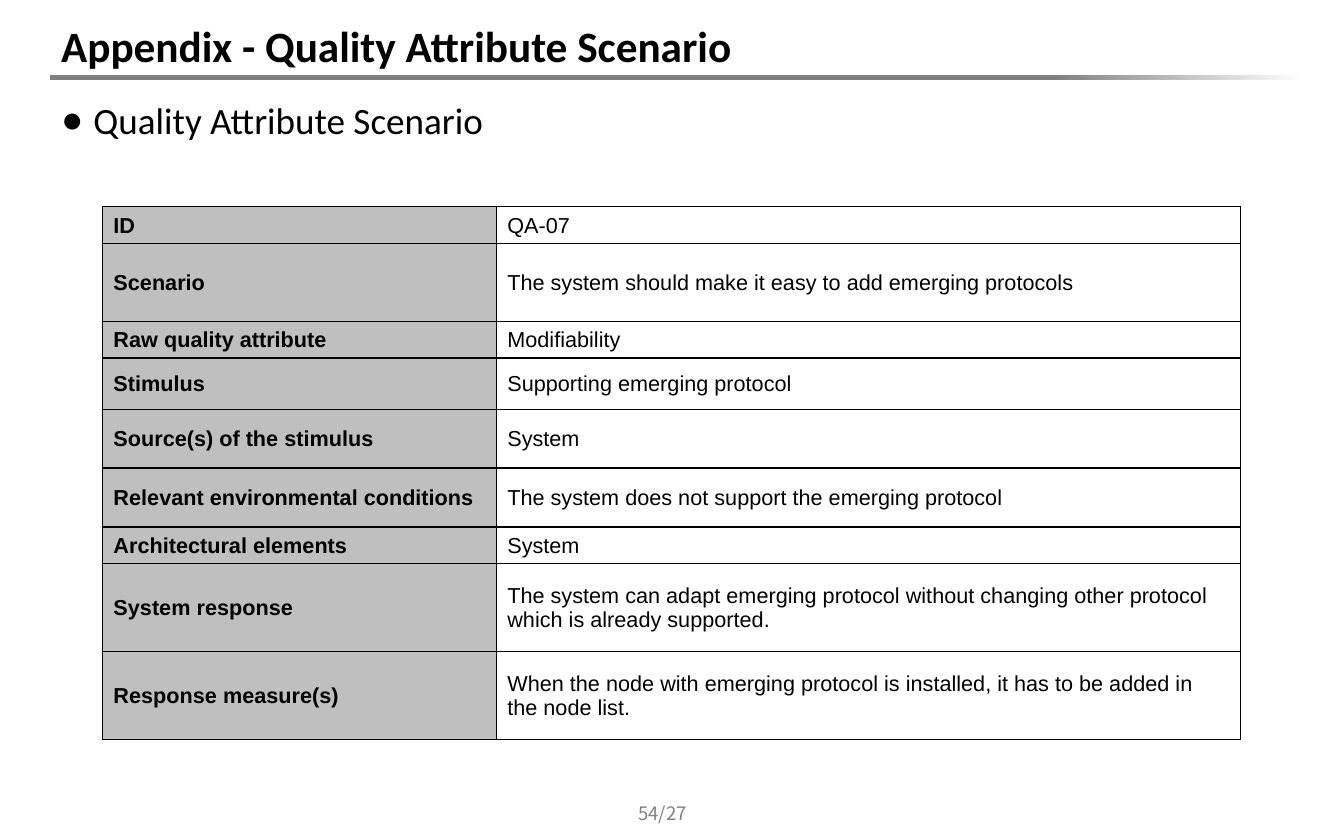
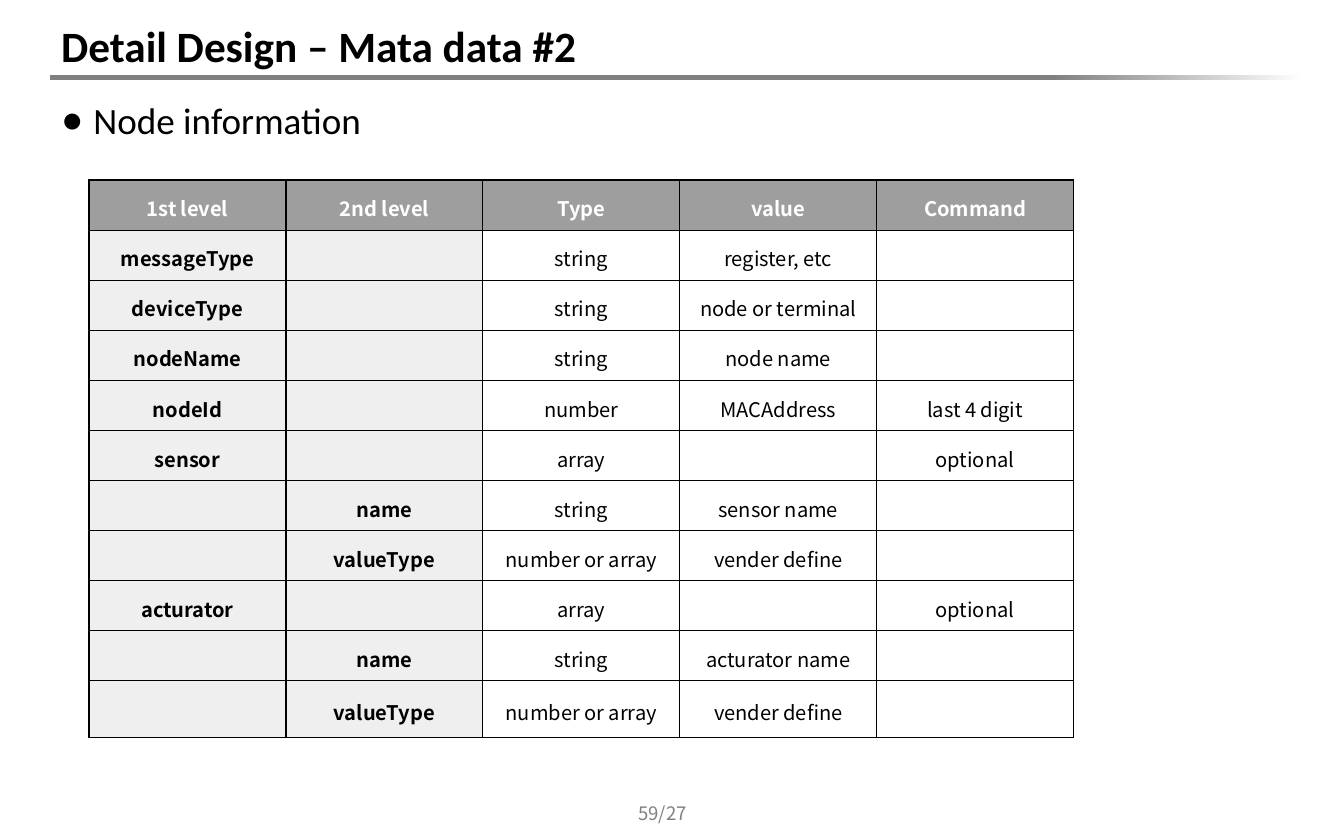
from copy import deepcopy

from lxml.etree import SubElement
from pptx import Presentation
from pptx.dml.color import RGBColor
from pptx.enum.shapes import MSO_SHAPE
from pptx.enum.text import MSO_ANCHOR, MSO_AUTO_SIZE, PP_ALIGN
from pptx.oxml import parse_xml
from pptx.oxml.ns import nsdecls, qn
from pptx.util import Inches, Pt

BLACK = RGBColor(0x00, 0x00, 0x00)
WHITE = RGBColor(0xFF, 0xFF, 0xFF)
GRAY = RGBColor(0x80, 0x80, 0x80)
LABEL_GRAY = RGBColor(0xBF, 0xBF, 0xBF)
HEADER_GRAY = RGBColor(0x9E, 0x9E, 0x9E)
LEVEL_GRAY = RGBColor(0xEF, 0xEF, 0xEF)

HEADING_FONT = "Calibri"
TABLE_FONT = "Arial"
KOREAN_FONT = "Noto Sans CJK KR"

TITLE_BOX = (0.45, 0.14, 11.26, 0.54)
BODY_BOX = (0.45, 0.83, 11.26, 6.32)
PAGE_BOX = (5.41, 7.19, 1.09, 0.24)
BAND_BOX = (0.45, 0.12, 11.34, 0.55)
RULE_BOX = (0.45, 0.67, 11.26, 0.05)

SCENARIO_ROWS = [
    ("ID", "QA-07", 0.33),
    ("Scenario", "The system should make it easy to add emerging protocols", 0.7),
    ("Raw quality attribute", "Modifiability", 0.33),
    ("Stimulus", "Supporting emerging protocol", 0.46),
    ("Source(s) of the stimulus", "System", 0.53),
    ("Relevant environmental conditions",
     "The system does not support the emerging protocol", 0.53),
    ("Architectural elements", "System", 0.33),
    ("System response",
     "The system can adapt emerging protocol without changing other protocol "
     "which is already supported.", 0.79),
    ("Response measure(s)",
     "When the node with emerging protocol is installed, it has to be added "
     "in the node list.", 0.79),
]

NODE_ROWS = [
    ("1st level", "2nd level", "Type", "value", "Command"),
    ("messageType", "", "string", "register, etc", ""),
    ("deviceType", "", "string", "node or terminal", ""),
    ("nodeName", "", "string", "node name", ""),
    ("nodeId", "", "number", "MACAddress", "last 4 digit"),
    ("sensor", "", "array", "", "optional"),
    ("", "name", "string", "sensor name", ""),
    ("", "valueType", "number or array", "vender define", ""),
    ("acturator", "", "array", "", "optional"),
    ("", "name", "string", "acturator name", ""),
    ("", "valueType", "number or array", "vender define", ""),
]


def place(shape, box):
    shape.left, shape.top, shape.width, shape.height = map(Inches, box)


def write_text(frame, text, font=HEADING_FONT, size=14, color=BLACK, bold=False,
               align=PP_ALIGN.LEFT, spacing=None):
    paragraph = frame.paragraphs[0]
    paragraph.alignment = align
    if spacing:
        paragraph.line_spacing = spacing
    run = paragraph.add_run()
    run.text = text
    run.font.name = font
    run.font.size = Pt(size)
    run.font.bold = bold
    run.font.color.rgb = color
    return paragraph


def add_master_shape(presentation, slide, box, shape_id):
    shape = slide.shapes.add_shape(MSO_SHAPE.FLOWCHART_PROCESS, *map(Inches, box))
    shape.shadow.inherit = False
    shape.line.fill.background()
    shape.element.nvSpPr.cNvPr.set("id", str(shape_id))
    presentation.slide_master.placeholders[0].element.addprevious(shape.element)
    return shape


def decorate_master(presentation, slide):
    rule = add_master_shape(presentation, slide, RULE_BOX, 101)
    rule.fill.gradient()
    rule.fill.gradient_angle = 0
    first, last = rule.fill.gradient_stops
    first.color.rgb, first.position = GRAY, 0
    last.color.rgb, last.position = WHITE, 1
    stops = rule.element.spPr.find(".//" + qn("a:gsLst"))
    middle = deepcopy(stops[0])
    middle.set("pos", "80000")
    stops.insert(1, middle)
    band = add_master_shape(presentation, slide, BAND_BOX, 102)
    band.fill.solid()
    band.fill.fore_color.rgb = WHITE


def add_content_slide(presentation, layout, title, bullet, page):
    slide = presentation.slides.add_slide(layout)
    heading, body = slide.placeholders
    for shape, box in ((heading, TITLE_BOX), (body, BODY_BOX)):
        place(shape, box)
        shape.text_frame.auto_size = MSO_AUTO_SIZE.NONE
    heading.text_frame.vertical_anchor = MSO_ANCHOR.MIDDLE
    write_text(heading.text_frame, title, size=28, bold=True)

    properties = write_text(body.text_frame, bullet, size=24)._p.get_or_add_pPr()
    properties.set("marL", str(Inches(0.29)))
    properties.set("indent", str(Inches(-0.29)))
    SubElement(properties, qn("a:buChar")).set("char", "●")

    frame = slide.shapes.add_textbox(*map(Inches, PAGE_BOX)).text_frame
    frame.word_wrap = True
    frame.vertical_anchor = MSO_ANCHOR.MIDDLE
    write_text(frame, page, font=KOREAN_FONT, size=12, color=GRAY,
               align=PP_ALIGN.CENTER)
    return slide


def add_plain_table(slide, left, top, widths, heights):
    table = slide.shapes.add_table(
        len(heights), len(widths), Inches(left), Inches(top),
        Inches(sum(widths)), Inches(sum(heights))).table
    table.first_row = table.horz_banding = False
    for column, width in zip(table.columns, widths):
        column.width = Inches(width)
    for row, height in zip(table.rows, heights):
        row.height = Inches(height)
    return table


def fill_cell(cell, text, fill, margins, **text_format):
    cell.vertical_anchor = MSO_ANCHOR.MIDDLE
    cell.margin_left = cell.margin_right = Inches(0.1)
    cell.margin_top, cell.margin_bottom = map(Inches, margins)
    cell.fill.solid()
    cell.fill.fore_color.rgb = fill
    properties = cell._tc.get_or_add_tcPr()
    for index, side in enumerate("LRTB"):
        properties.insert(index, parse_xml(
            f'<a:ln{side} {nsdecls("a")} w="{Pt(1)}"><a:solidFill>'
            f'<a:srgbClr val="{BLACK}"/></a:solidFill></a:ln{side}>'))
    if text:
        write_text(cell.text_frame, text, **text_format)


def add_scenario_table(slide, left, top):
    heights = [height for _, _, height in SCENARIO_ROWS]
    table = add_plain_table(slide, left, top, [3.54, 6.69], heights)
    for row, (label, description, _) in enumerate(SCENARIO_ROWS):
        fill_cell(table.cell(row, 0), label, LABEL_GRAY, (0.01, 0),
                  font=TABLE_FONT, bold=True)
        fill_cell(table.cell(row, 1), description, WHITE, (0.01, 0), font=TABLE_FONT)


def add_node_table(slide, left, top):
    heights = [0.45] * (len(NODE_ROWS) - 1) + [0.51]
    table = add_plain_table(slide, left, top, [1.77] * 5, heights)
    for row, values in enumerate(NODE_ROWS):
        for column, text in enumerate(values):
            is_header, is_level = row == 0, column < 2
            fill = HEADER_GRAY if is_header else LEVEL_GRAY if is_level else WHITE
            fill_cell(table.cell(row, column), text, fill, (0.07, 0.07),
                      font=KOREAN_FONT, size=13, bold=is_header or is_level,
                      color=WHITE if is_header else BLACK,
                      align=PP_ALIGN.CENTER, spacing=1.2)


def main():
    presentation = Presentation()
    presentation.slide_width = Inches(12.08)
    presentation.slide_height = Inches(7.5)
    layout = presentation.slide_layouts.get_by_name("Title and Content")

    scenario = add_content_slide(
        presentation, layout, "Appendix - Quality Attribute Scenario",
        "Quality Attribute Scenario", "54/27")
    decorate_master(presentation, scenario)
    add_scenario_table(scenario, 0.92, 1.86)

    node = add_content_slide(
        presentation, layout, "Detail Design – Mata data #2",
        "Node information", "59/27")
    add_node_table(node, 0.8, 1.62)

    presentation.save("out.pptx")


if __name__ == "__main__":
    main()
